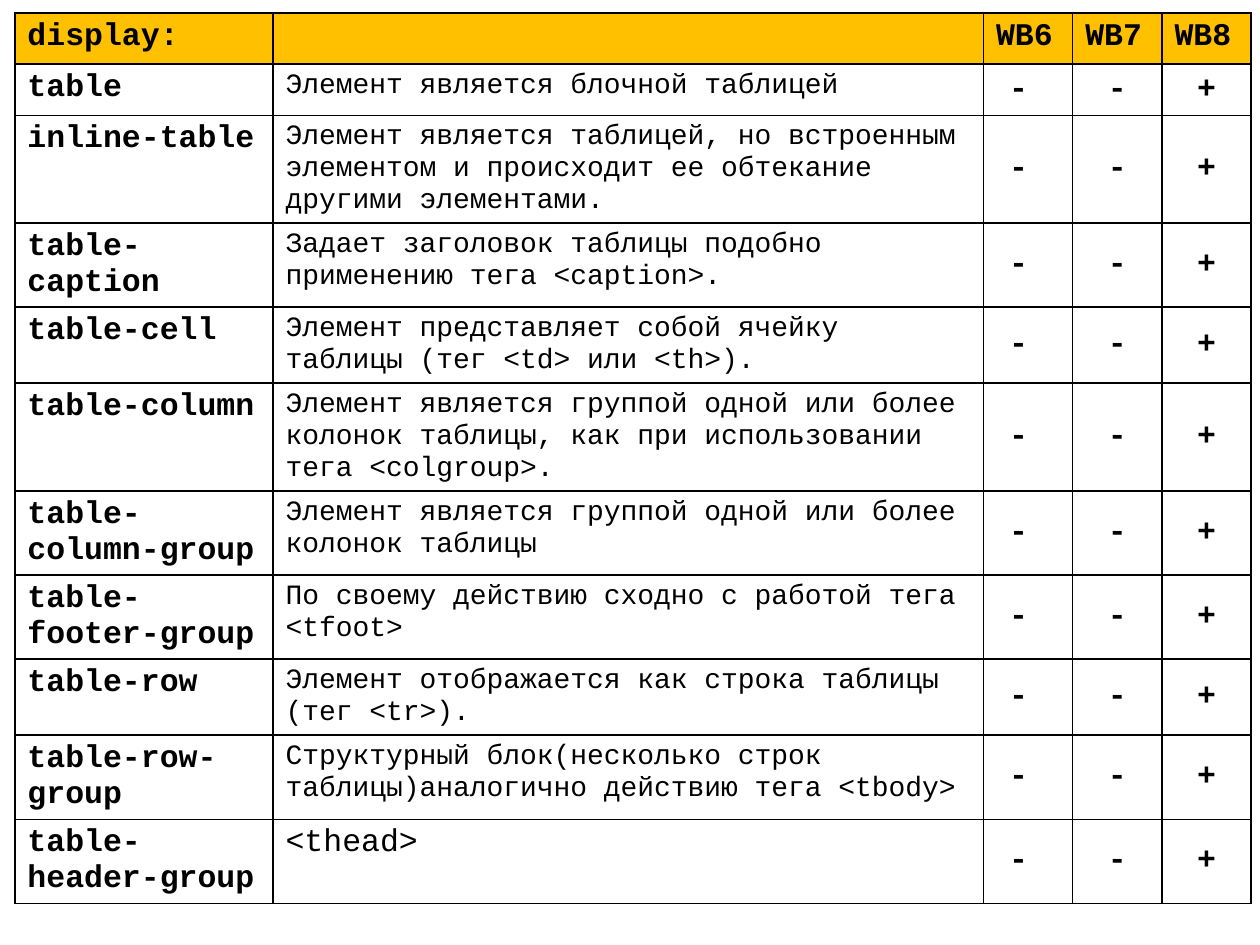
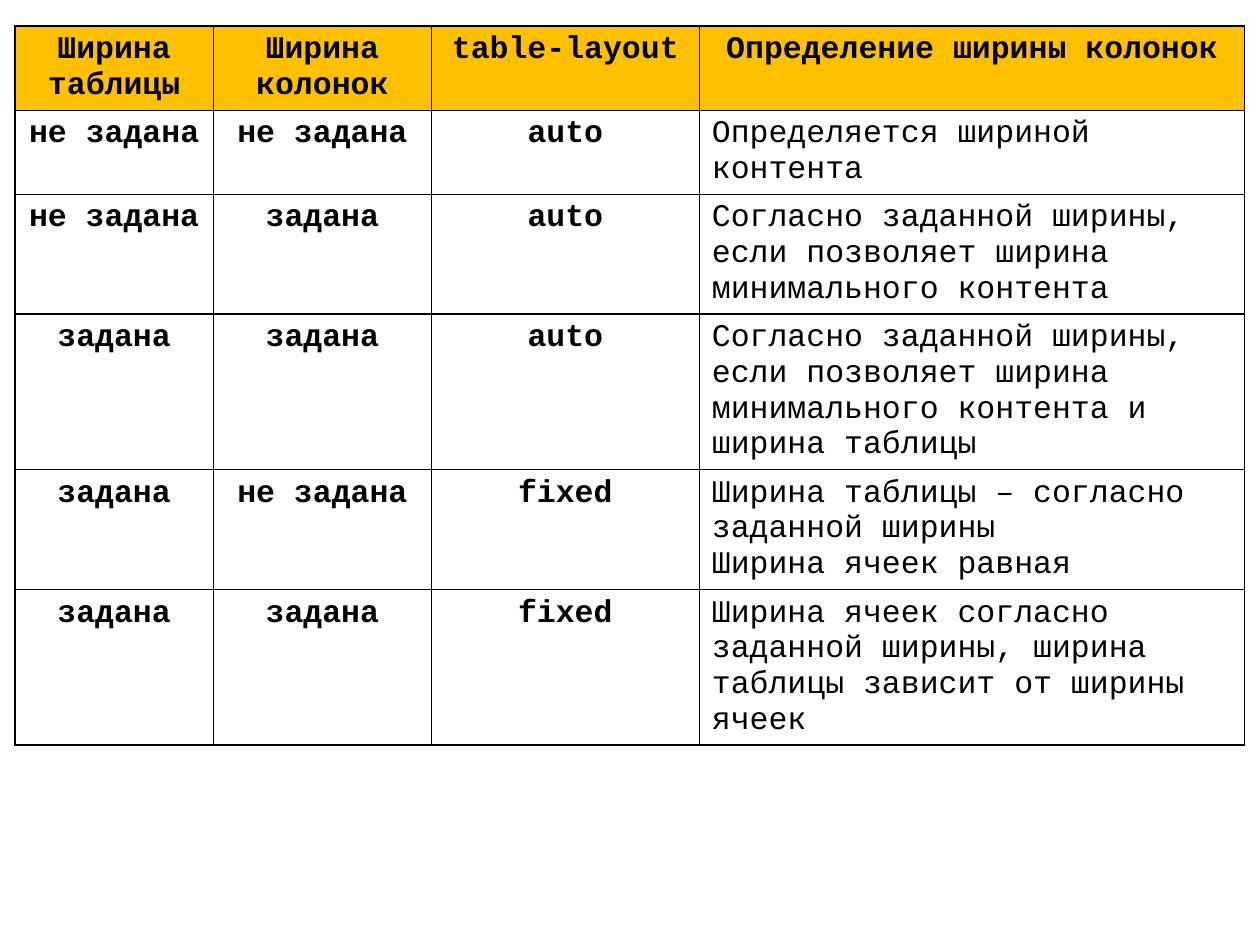
import pptx
import pptx.dml.color
import pptx.enum.text
import pptx.oxml
import pptx.util
from pptx.oxml.ns import nsdecls

Pt = pptx.util.Pt
RGBColor = pptx.dml.color.RGBColor
ALIGN = pptx.enum.text.PP_ALIGN
ANCHOR = pptx.enum.text.MSO_ANCHOR

AMBER = RGBColor(0xFF, 0xC0, 0x00)
WHITE = RGBColor(0xFF, 0xFF, 0xFF)
BLACK = RGBColor(0x00, 0x00, 0x00)
FONT = "Courier New"
TEXT_SIZE, SMALL_SIZE = 18, 16
TABLE_LEFT = 8.5
MIN_ROW_HEIGHT = 29.2
BLANK_LAYOUT = 6

DISPLAY_HEADER = ["display:", "", "WB6", "WB7", "WB8"]
DISPLAY_VALUES = [
    ("table", "Элемент является блочной таблицей"),
    ("inline-table", "Элемент является таблицей, но встроенным элементом "
                     "и происходит ее обтекание другими элементами."),
    ("table-caption", "Задает заголовок таблицы подобно применению тега <caption>."),
    ("table-cell", "Элемент представляет собой ячейку таблицы (тег <td> или <th>)."),
    ("table-column", "Элемент является группой одной или более колонок таблицы, "
                     "как при использовании тега <colgroup>."),
    ("table-column-group", "Элемент является группой одной или более колонок таблицы"),
    ("table-footer-group", "По своему действию сходно с работой тега <tfoot>"),
    ("table-row", "Элемент отображается как строка таблицы (тег <tr>)."),
    ("table-row-group", "Структурный блок(несколько строк таблицы)аналогично "
                        "действию тега <tbody>"),
    ("table-header-group", "<thead>"),
]
SUPPORT = ["- ", "-", "+"]

LAYOUT_HEADER = ["Ширина таблицы", "Ширина\nколонок", "table-layout",
                 "Определение ширины колонок"]
LAYOUT_RULES = [
    ("не задана ", "не задана", "auto", "Определяется шириной контента"),
    ("не задана", "задана", "auto",
     "Согласно заданной ширины, если позволяет ширина минимального контента"),
    ("задана", "задана", "auto",
     "Согласно заданной ширины, если позволяет ширина минимального контента "
     "и ширина таблицы"),
    ("задана", "не задана", "fixed",
     "Ширина таблицы – согласно заданной ширины\nШирина ячеек равная"),
    ("задана", "задана", "fixed",
     "Ширина ячеек согласно заданной ширины, ширина таблицы зависит от ширины ячеек"),
]


def add_borders(cell):
    """Draw a 1 pt line on all four sides; call before the fill is set."""
    tc_pr = cell._tc.get_or_add_tcPr()
    for side in ("lnL", "lnR", "lnT", "lnB"):
        tc_pr.append(pptx.oxml.parse_xml(
            f'<a:{side} {nsdecls("a")} w="{Pt(1)}"><a:solidFill>'
            f'<a:srgbClr val="{BLACK}"/></a:solidFill></a:{side}>'))


def fill_cell(cell, text, fill=WHITE, size=TEXT_SIZE, bold=True,
              align=ALIGN.LEFT, anchor=ANCHOR.TOP):
    """Style a cell and write one paragraph for each line of text."""
    add_borders(cell)
    cell.fill.solid()
    cell.fill.fore_color.rgb = fill
    cell.vertical_anchor = anchor
    tf = cell.text_frame
    for i, line in enumerate(text.split("\n")):
        p = tf.add_paragraph() if i else tf.paragraphs[0]
        p.alignment = align
        if not line:
            continue
        r = p.add_run()
        r.text = line
        r.font.name = FONT
        r.font.size = Pt(size)
        r.font.bold = bold
        r.font.color.rgb = BLACK


def add_grid(prs, top, height, widths, header, body_count, header_align):
    """Add a slide with a table whose header is filled in; rows grow with their text."""
    slide = prs.slides.add_slide(prs.slide_layouts[BLANK_LAYOUT])
    frame = slide.shapes.add_table(body_count + 1, len(widths), Pt(TABLE_LEFT), Pt(top),
                                   Pt(sum(widths)), Pt(height))
    table = frame.table
    for column, width in zip(table.columns, widths):
        column.width = Pt(width)
    for row in table.rows:
        row.height = Pt(MIN_ROW_HEIGHT)
    frame.height = Pt(height)
    for i, text in enumerate(header):
        fill_cell(table.cell(0, i), text, AMBER, align=header_align)
    return table


def add_display_slide(prs):
    table = add_grid(prs, 7.5, 531.5, [147.5, 406, 51, 51, 51], DISPLAY_HEADER,
                     len(DISPLAY_VALUES), ALIGN.LEFT)
    for row, (value, meaning) in enumerate(DISPLAY_VALUES, 1):
        fill_cell(table.cell(row, 0), value)
        size = TEXT_SIZE if meaning == "<thead>" else SMALL_SIZE
        fill_cell(table.cell(row, 1), meaning, size=size, bold=False)
        for col, mark in enumerate(SUPPORT, 2):
            fill_cell(table.cell(row, col), mark, align=ALIGN.CENTER,
                      anchor=ANCHOR.MIDDLE)


def add_layout_slide(prs):
    table = add_grid(prs, 15, 432, [113.4, 124.6, 153.1, 311.7], LAYOUT_HEADER,
                     len(LAYOUT_RULES), ALIGN.CENTER)
    for row, (*settings, result) in enumerate(LAYOUT_RULES, 1):
        for col, setting in enumerate(settings):
            fill_cell(table.cell(row, col), setting, align=ALIGN.CENTER)
        fill_cell(table.cell(row, len(settings)), result, bold=False)


def main():
    prs = pptx.Presentation()
    prs.slide_width, prs.slide_height = Pt(720), Pt(540)
    add_display_slide(prs)
    add_layout_slide(prs)
    prs.save("out.pptx")


if __name__ == "__main__":
    main()
